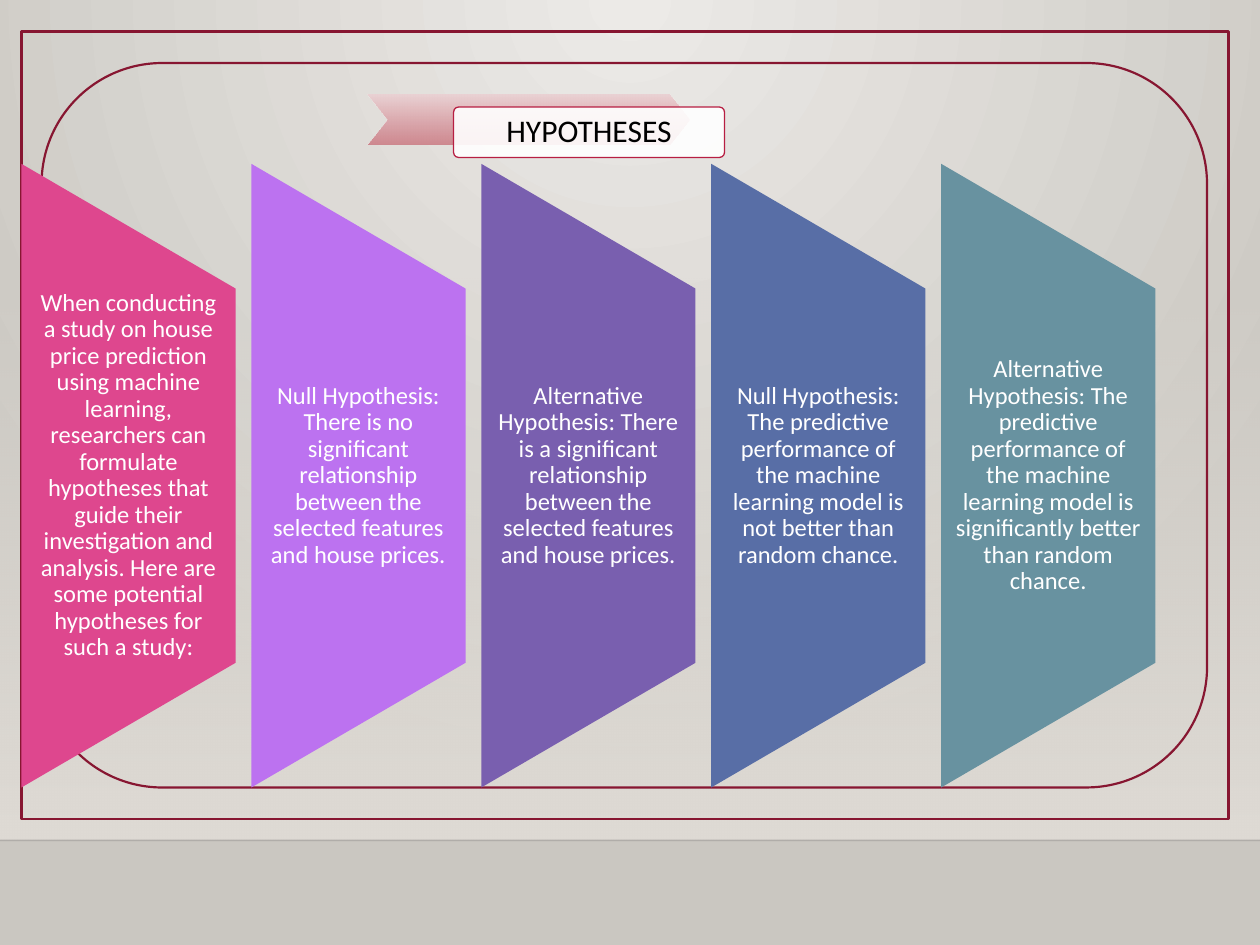
from lxml.etree import SubElement
from pptx import Presentation
from pptx.dml.color import RGBColor
from pptx.enum.shapes import MSO_CONNECTOR, MSO_SHAPE
from pptx.enum.text import MSO_ANCHOR, MSO_AUTO_SIZE, PP_ALIGN
from pptx.oxml.ns import qn
from pptx.util import Inches, Pt

WIDTH, HEIGHT = 10, 7.5
FONT = "Calibri"
TITLE = "HYPOTHESES"
PANELS = [
    ("DE478E", "When conducting a study on house price prediction using machine learning, "
               "researchers can formulate hypotheses that guide their investigation and analysis. "
               "Here are some potential hypotheses for such a study:"),
    ("BC72F0", "Null Hypothesis: There is no significant relationship between "
               "the selected features and house prices."),
    ("795FAF", "Alternative Hypothesis: There is a significant relationship between "
               "the selected features and house prices."),
    ("586EA6", "Null Hypothesis: The predictive performance of the machine learning model "
               "is not better than random chance."),
    ("6892A0", "Alternative Hypothesis: The predictive performance of the machine learning model "
               "is significantly better than random chance."),
]
FLOOR_TOP = 6.67
FRAMES = [
    (MSO_SHAPE.ROUNDED_RECTANGLE, (0.33, 0.5, 9.25, 5.75)),
    (MSO_SHAPE.RECTANGLE, (0.17, 0.25, 9.58, 6.25)),
]
FRAME_COLOR = "871631"
FIRST_LEFT, LAST_LEFT = 0.17, 7.47
PANEL_TOP, PANEL_WIDTH, PANEL_HEIGHT = 1.3, 1.7, 4.95
TEXT_SHARE = 0.6


def color(value):
    return RGBColor.from_string(value)


def set_alpha(parent, percent):
    for node in parent.iter(qn("a:srgbClr")):
        SubElement(node, qn("a:alpha")).set("val", str(percent * 1000))


def set_gradient(fill, properties, stops, focus=None):
    fill.solid()
    solid = properties.find(qn("a:solidFill"))
    gradient = solid.makeelement(qn("a:gradFill"), {"rotWithShape": "1"})
    stop_list = SubElement(gradient, qn("a:gsLst"))
    for position, value, alpha in stops:
        stop = SubElement(stop_list, qn("a:gs"), pos=str(position * 1000))
        SubElement(stop, qn("a:srgbClr"), val=value)
        if alpha < 100:
            set_alpha(stop, alpha)
    if focus:
        shade = SubElement(gradient, qn("a:path"), path="circle")
        edges = {side: str(share * 1000) for side, share in zip("ltrb", focus)}
        SubElement(shade, qn("a:fillToRect"), edges)
    else:
        SubElement(gradient, qn("a:lin"), ang="5400000", scaled="0")
    properties.replace(solid, gradient)


def add_shape(slide, preset, box, fill=None, line=None, weight=1):
    shape = slide.shapes.add_shape(preset, *map(Inches, box))
    shape.shadow.inherit = False
    if fill:
        shape.fill.solid()
        shape.fill.fore_color.rgb = color(fill)
    else:
        shape.fill.background()
    if line:
        shape.line.color.rgb = color(line)
        shape.line.width = Pt(weight)
    else:
        shape.line.fill.background()
    return shape


def write_text(shape, text, size, text_color, inset_x, inset_y):
    frame = shape.text_frame
    frame.word_wrap = True
    frame.auto_size = MSO_AUTO_SIZE.NONE
    frame.vertical_anchor = MSO_ANCHOR.MIDDLE
    frame.margin_left = frame.margin_right = Inches(inset_x)
    frame.margin_top = frame.margin_bottom = Inches(inset_y)
    paragraph = frame.paragraphs[0]
    paragraph.alignment = PP_ALIGN.CENTER
    paragraph.line_spacing = 0.9
    run = paragraph.add_run()
    run.text = text
    run.font.name = FONT
    run.font.size = Pt(size)
    run.font.color.rgb = color(text_color)


def add_backdrop(slide):
    background = slide.background.fill
    background.solid()
    set_gradient(background, slide.element.find(".//" + qn("p:bgPr")),
                 [(0, "ECEAE7", 100), (100, "CAC7C1", 100)], (43, 0, 43, 100))
    wall = add_shape(slide, MSO_SHAPE.RECTANGLE, (0, 2.2, WIDTH, FLOOR_TOP - 2.2))
    set_gradient(wall.fill, wall.element.spPr, [(0, "DFDBD5", 0), (100, "DFDBD5", 100)])
    edge = slide.shapes.add_connector(MSO_CONNECTOR.STRAIGHT, 0, Inches(FLOOR_TOP),
                                      Inches(WIDTH), Inches(FLOOR_TOP))
    edge.line.color.rgb = color("000001")
    edge.line.width = Pt(1)
    set_alpha(edge.element.spPr, 20)
    SubElement(edge.element.spPr, qn("a:effectLst"))
    for preset, box in FRAMES:
        add_shape(slide, preset, box, line=FRAME_COLOR, weight=1.25)


def add_title(slide):
    chevron = add_shape(slide, MSO_SHAPE.CHEVRON, (2.92, 0.75, 2.55, 0.4))
    chevron.adjustments[0] = 0.4
    set_gradient(chevron.fill, chevron.element.spPr, [(0, "EAD1D3", 100), (100, "CD828A", 92)])
    card = add_shape(slide, MSO_SHAPE.ROUNDED_RECTANGLE, (3.6, 0.85, 2.15, 0.4),
                     "FFFFFF", "B71E42", 0.75)
    card.adjustments[0] = 0.1
    set_alpha(card.element.spPr.find(qn("a:solidFill")), 90)
    title = slide.shapes.title
    title.left, title.top, title.width, title.height = map(Inches, (3.61, 0.86, 2.13, 0.38))
    write_text(title, TITLE, 18, "000000", 0.14, 0.14)
    card.element.addnext(title.element)


def add_panels(slide):
    pitch = (LAST_LEFT - FIRST_LEFT) / (len(PANELS) - 1)
    turn_offset = (PANEL_HEIGHT - PANEL_WIDTH) / 2
    text_height = PANEL_HEIGHT * TEXT_SHARE
    text_top = PANEL_TOP + (PANEL_HEIGHT - text_height) / 2
    for index, (fill, text) in enumerate(PANELS):
        left = FIRST_LEFT + index * pitch
        panel = add_shape(slide, MSO_SHAPE.FLOWCHART_MANUAL_OPERATION,
                          (left - turn_offset, PANEL_TOP + turn_offset, PANEL_HEIGHT, PANEL_WIDTH),
                          fill)
        panel.rotation = 270
        label = slide.shapes.add_textbox(
            *map(Inches, (left, text_top, PANEL_WIDTH, text_height)))
        write_text(label, text, 14, "FFFFFF", 0.1, 0)


def main():
    presentation = Presentation()
    presentation.slide_width = Inches(WIDTH)
    presentation.slide_height = Inches(HEIGHT)
    slide = presentation.slides.add_slide(presentation.slide_layouts[5])
    add_backdrop(slide)
    add_title(slide)
    add_panels(slide)
    presentation.save("out.pptx")


if __name__ == "__main__":
    main()
